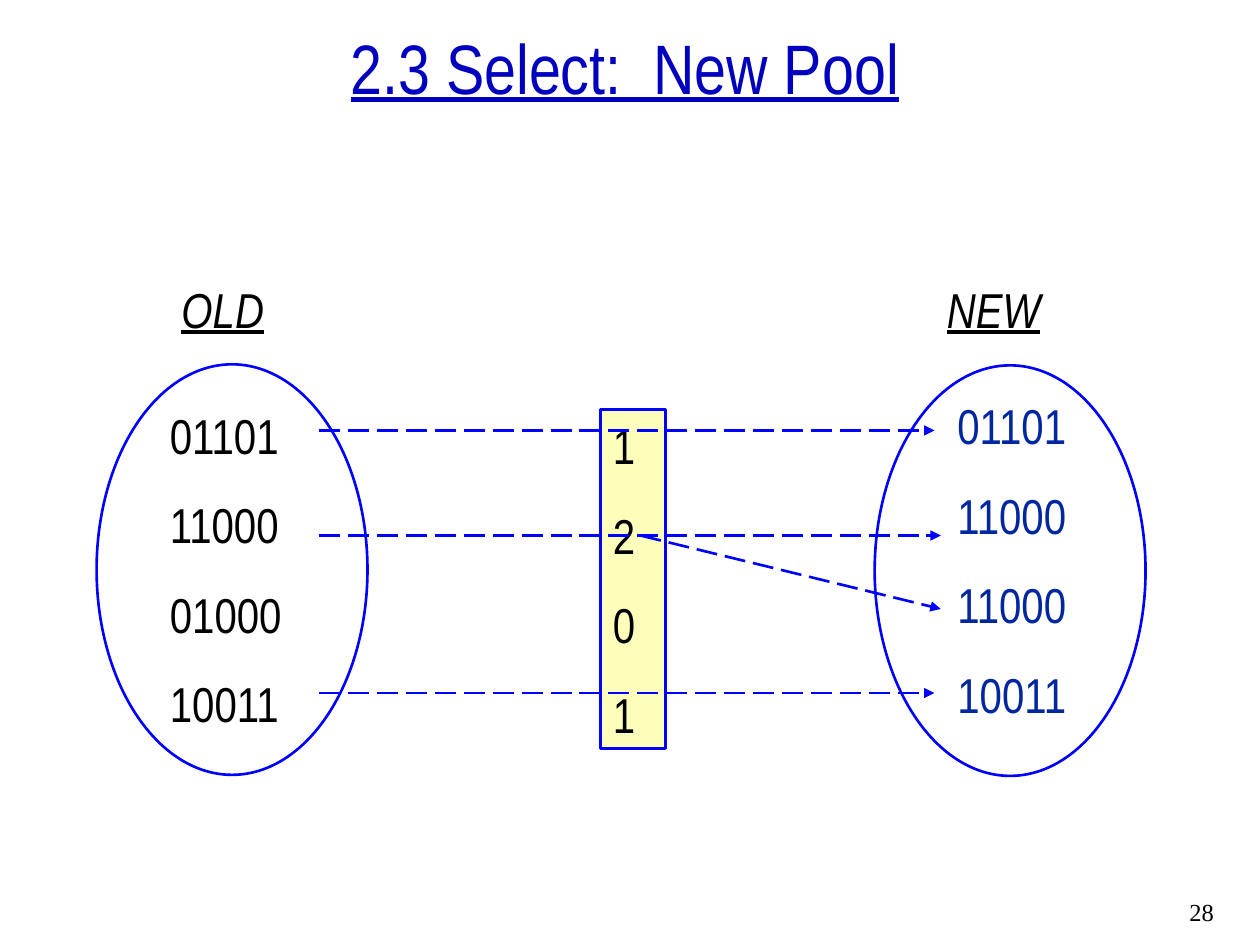
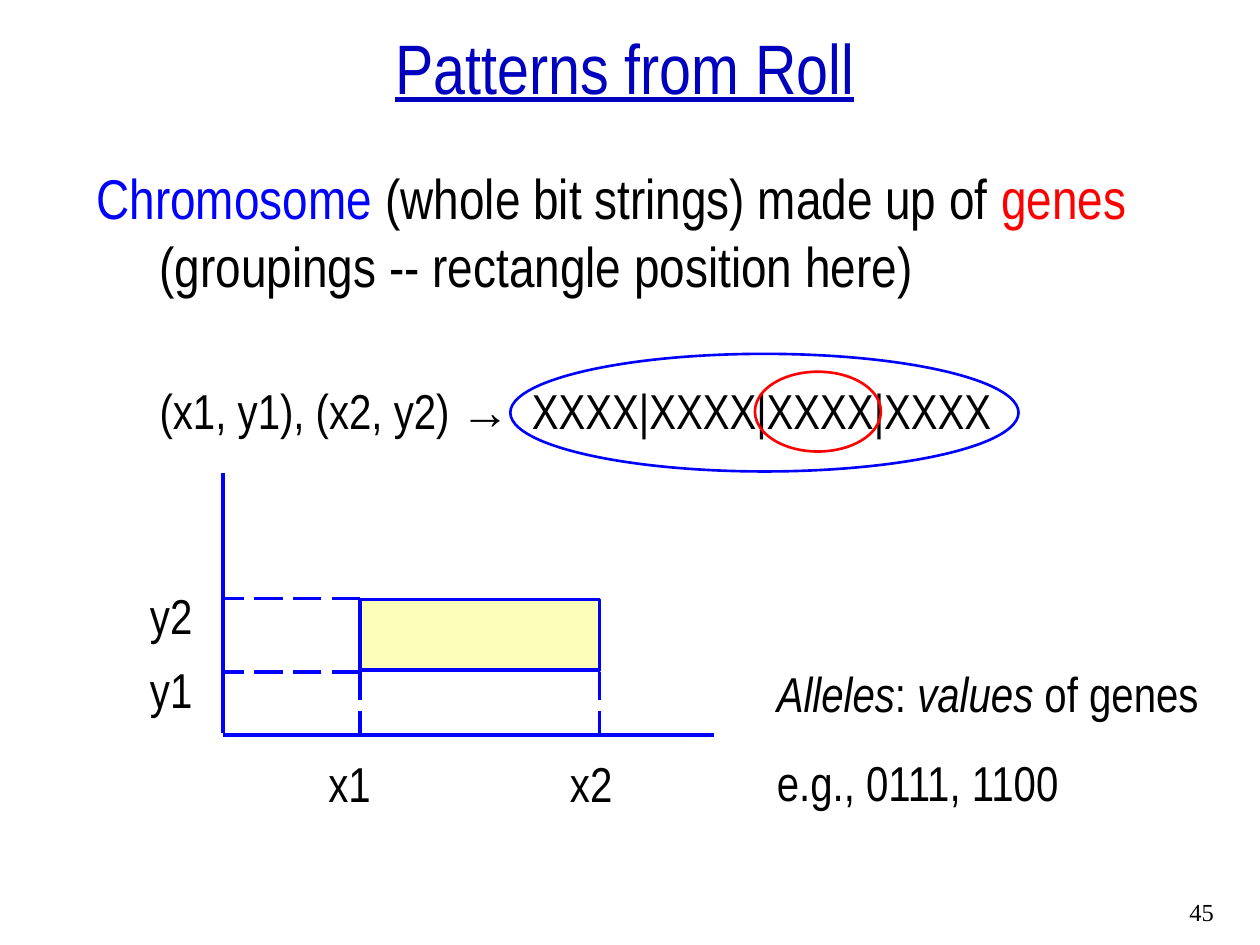
from dataclasses import dataclass

from lxml import etree
from pptx import Presentation
from pptx import util as u
from pptx.dml.color import RGBColor
from pptx.enum import dml, shapes, text
from pptx.oxml.ns import qn


@dataclass(frozen=True)
class Theme:
    title_color: str = "0000BF"
    ink: str = "000000"
    blue: str = "0000FF"
    navy: str = "00279F"
    red: str = "FF0000"
    yellow: str = "FCFEB9"
    font: str = "Arial Narrow"
    symbol_font: str = "Arial"
    number_font: str = "Times New Roman"
    title_size: float = 40
    lead_size: float = 32
    text_size: float = 28
    number_size: float = 14
    list_gap: float = 17.5
    thin: float = 1.5
    thick: float = 2


T = Theme()
CELL = u.Inches(1) // 12          # the slide is 120 columns by 90 rows
COLS, ROWS = 120, 90


def cells(*lengths):
    return [round(n * CELL) for n in lengths]


def write(tf, paragraphs, gap=0, left=0, hang=0, align="LEFT", **fmt):
    """Fill a frame; a paragraph is a string or a list of (text, format) runs."""
    for i, runs in enumerate(paragraphs):
        p = tf.paragraphs[0] if i == 0 else tf.add_paragraph()
        p.alignment = text.PP_ALIGN[align]
        p.space_before = u.Pt(gap[i] if isinstance(gap, tuple) else gap)
        pPr = p._p.get_or_add_pPr()
        pPr.set("marL", str(u.Inches(left)))
        pPr.set("indent", str(u.Inches(-hang if i == 0 else 0)))
        etree.SubElement(pPr, qn("a:buNone"))
        for words, own in [(runs, {})] if isinstance(runs, str) else runs:
            f = {"size": T.text_size, "font": T.font, "color": T.ink, **fmt, **own}
            r = p.add_run()
            r.text = words
            r.font.name, r.font.size = f["font"], u.Pt(f["size"])
            r.font.color.rgb = RGBColor.from_string(f["color"])
            r.font.italic = f.get("italic", False)
            r.font.underline = f.get("underline", False)


class Deck:
    def __init__(self):
        self.prs = Presentation()
        self.prs.slide_width, self.prs.slide_height = cells(COLS, ROWS)
        self.s = None

    def slide(self, title, number, layout):
        self.s = self.prs.slides.add_slide(self.prs.slide_layouts[layout])
        self.placeholder(0, (0, 4.4, 119, 6.5), [title], anchor="BOTTOM",
                         align="CENTER", size=T.title_size,
                         color=T.title_color, underline=True)
        self.label((112.1, 84.8, 7, 4), [number],
                   size=T.number_size, font=T.number_font)

    def placeholder(self, index, box, paragraphs, anchor="TOP", **fmt):
        sp = self.s.placeholders[index]
        sp.left, sp.top, sp.width, sp.height = cells(*box)
        tf = sp.text_frame
        tf.auto_size = text.MSO_AUTO_SIZE.NONE
        tf.vertical_anchor = text.MSO_ANCHOR[anchor]
        write(tf, paragraphs, **fmt)

    def label(self, box, paragraphs, wrap=True, **fmt):
        tf = self.s.shapes.add_textbox(*cells(*box)).text_frame
        tf.word_wrap = wrap
        write(tf, paragraphs, **fmt)

    def shape(self, kind, box, color=T.blue, width=T.thin, fill=None):
        sp = self.s.shapes.add_shape(shapes.MSO_SHAPE[kind], *cells(*box))
        sp.shadow.inherit = False
        if fill:
            sp.fill.solid()
            sp.fill.fore_color.rgb = RGBColor.from_string(fill)
        else:
            sp.fill.background()
        sp.line.color.rgb = RGBColor.from_string(color)
        sp.line.width = u.Pt(width)
        sp.text_frame.vertical_anchor = text.MSO_ANCHOR.TOP
        return sp

    def line(self, start, end, width=T.thick, dashed=False, arrow=False):
        c = self.s.shapes.add_connector(shapes.MSO_CONNECTOR.STRAIGHT,
                                        *cells(*start, *end))
        c.line.color.rgb = RGBColor.from_string(T.blue)
        c.line.width = u.Pt(width)
        if dashed:
            c.line.dash_style = dml.MSO_LINE.LONG_DASH
        spPr = c._element.spPr
        if arrow:
            etree.SubElement(spPr.get_or_add_ln(), qn("a:tailEnd"), type="triangle")
        etree.SubElement(spPr, qn("a:effectLst"))


deck = Deck()

# Slide 1: old pool, copy counts, new pool
deck.slide("2.3 Select:  New Pool", "28", layout=5)
deck.label((15, 38, 20, 32.3), ["01101", "11000", "01000", "10011"], gap=T.list_gap)
deck.label((90, 37.1, 26, 32.3), ["01101", "11000", "11000", "10011"],
           gap=T.list_gap, color=T.navy)
counts = deck.shape("RECTANGLE", (57.2, 39, 6.2, 32.3), width=T.thick, fill=T.yellow)
write(counts.text_frame, "1201", gap=T.list_gap)

for start, end in [((30.4, 41), (89, 41)), ((30.4, 51), (89.6, 51)),
                   ((61, 51), (89.6, 58)), ((30.4, 66), (89, 66))]:
    deck.line(start, end, width=T.thin, dashed=True, arrow=True)

for heading, x, pool_x, pool_y in [("OLD", 16.1, 9.2, 34.7), ("NEW", 89, 83.3, 34.8)]:
    deck.label((x, 26, 15, 6.7), [heading], gap=T.list_gap,
               italic=True, underline=True)
    deck.shape("OVAL", (pool_x, pool_y, 25.8, 39.1))

# Slide 2: chromosome, genes and the rectangle they encode
deck.slide("Patterns from Roll", "45", layout=1)
lead = {"size": T.lead_size}
deck.placeholder(1, (8, 15, 108, 54), [
    [("Chromosome", {**lead, "color": T.blue}),
     (" (whole bit strings) made up of ", lead),
     ("genes", {**lead, "color": T.red}),
     (" (groupings -- rectangle position here) ", lead)],
    [("(x1, y1), (x2, y2) ", {}), ("→", {"font": T.symbol_font}),
     ("  XXXX|XXXX|XXXX|XXXX", {})],
], gap=(8, 47), left=0.5, hang=0.5)

# Axes, rectangle and its guides
LEFT, RIGHT, TOP, BOTTOM = 34.3, 57.1, 57, 64
AXIS_X, AXIS_Y = 21.25, 70
deck.line((AXIS_X, 45), (AXIS_X, AXIS_Y - 0.2))
deck.line((AXIS_X, AXIS_Y), (68, AXIS_Y))
deck.shape("RECTANGLE", (LEFT, TOP + 0.1, RIGHT - LEFT, 6.7),
           width=T.thick, fill=T.yellow)
for y in (TOP, BOTTOM):
    deck.line((LEFT, y), (21, y), dashed=True)
for x in (RIGHT, LEFT):
    deck.line((x, BOTTOM), (x, AXIS_Y - 0.2), dashed=True)

# Coordinates and note
for name, x, y in [("x1", 24.1, 71.2), ("x2", 47.1, 71.2),
                   ("y1", 7.1, 62.2), ("y2", 7.1, 55.2)]:
    deck.label((x, y, 12.4, 6.7), [name], wrap=False, gap=7, left=0.5)
italic = {"italic": True}
deck.label((72.8, 62.6, 43.8, 15.2), [
    [("Alleles", italic), (": ", {}), ("values", italic), (" of genes ", {})],
    "e.g., 0111, 1100",
], gap=T.list_gap)

# Rings around the chromosome and one gene
deck.shape("OVAL", (48.6, 33.7, 48.4, 11.2))
deck.shape("OVAL", (71.9, 35.4, 12, 7.6), color=T.red)

deck.prs.save("out.pptx")
